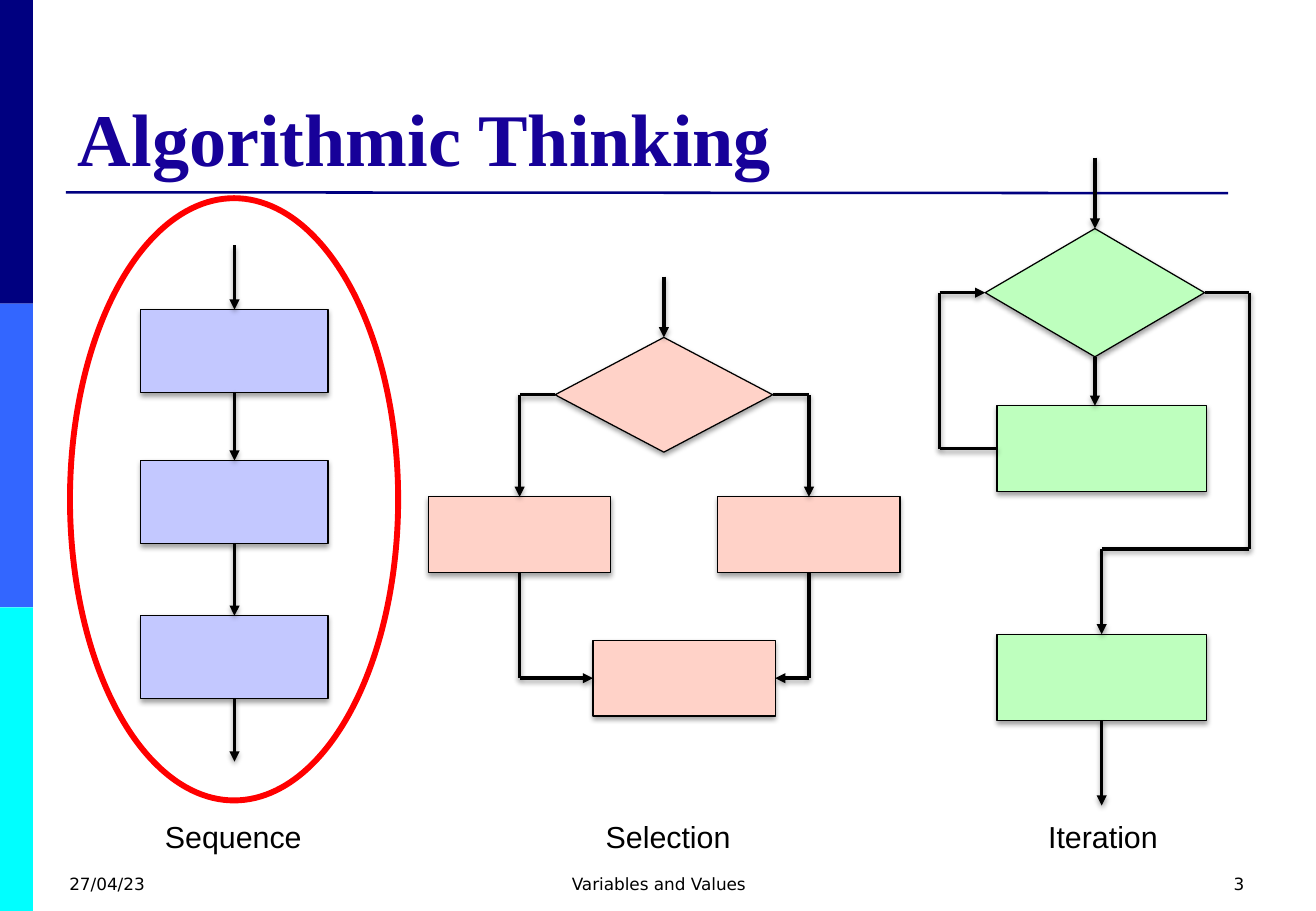
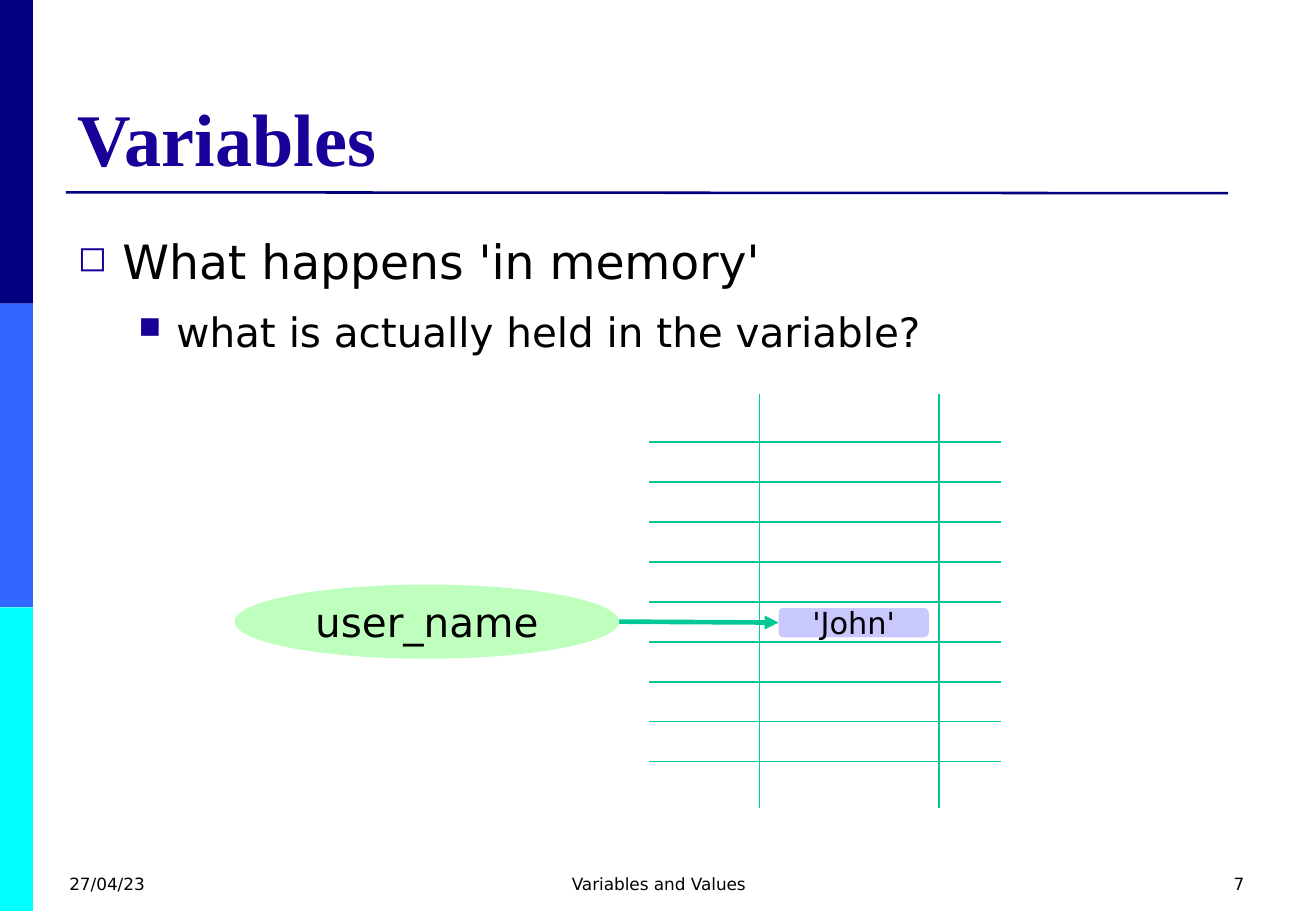
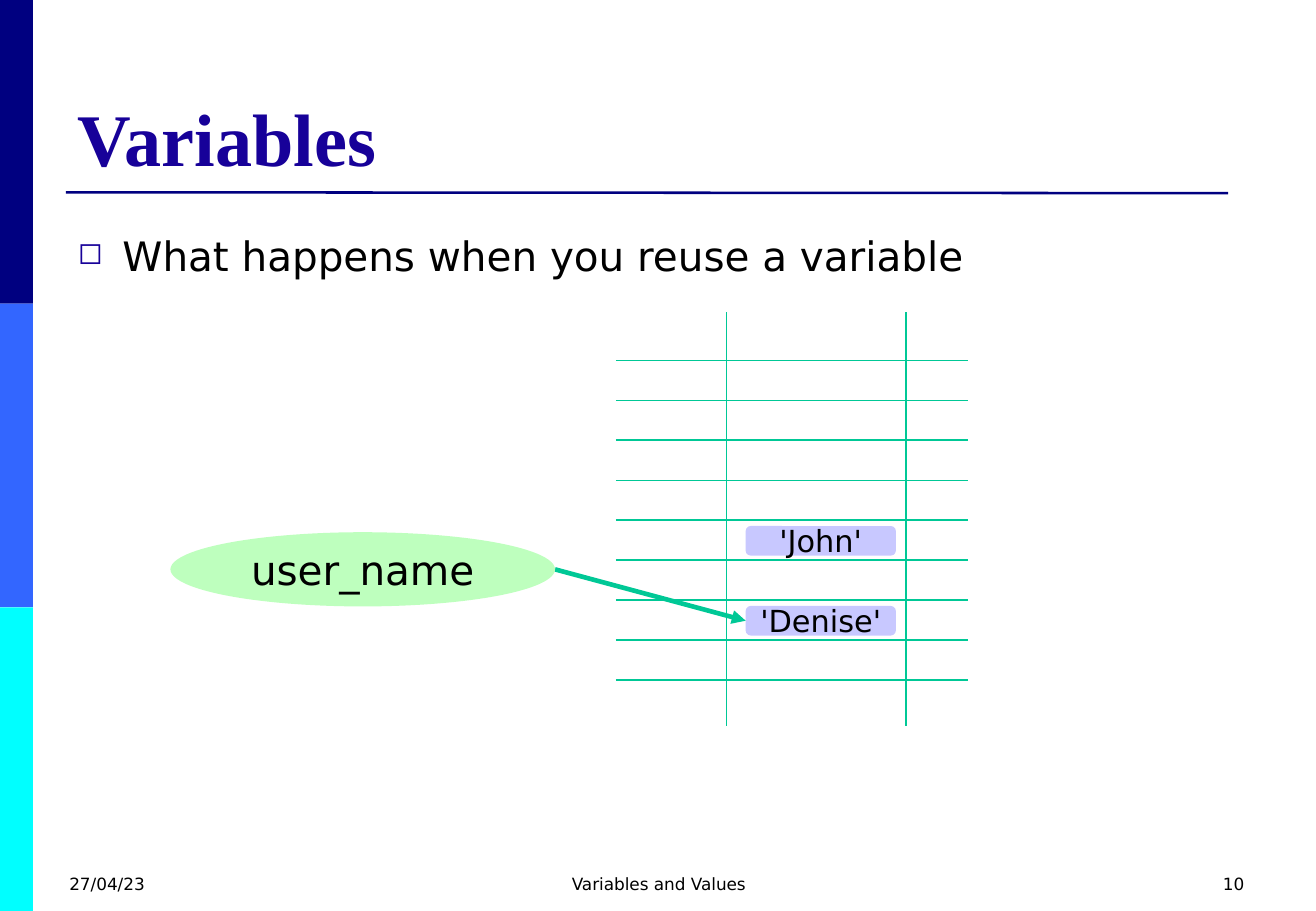
import itertools

import lxml.etree
import pptx
import pptx.dml.color
import pptx.enum.shapes
import pptx.enum.text
import pptx.oxml.ns
import pptx.util

Pt = pptx.util.Pt
qn = pptx.oxml.ns.qn
SHAPE = pptx.enum.shapes.MSO_SHAPE
ALIGN = pptx.enum.text.PP_ALIGN
ANCHOR = pptx.enum.text.MSO_ANCHOR

COLORS = {
    "navy": "000080", "blue": "3366FF", "cyan": "00FFFF", "title": "170199",
    "black": "000000", "red": "FF0000", "teal": "00C896", "lilac": "C3C8FF",
    "pink": "FFD2C8", "green": "BEFFBE", "value": "C8C8FF",
}
TITLE = {"name": "Times New Roman", "size": Pt(44), "bold": True}
FOOTER = {"name": "DejaVu Sans", "size": Pt(10)}
CAPTION = {"name": "Arial", "size": Pt(18)}
VALUE = {"name": "DejaVu Sans", "size": Pt(18)}
BODY = {"name": "DejaVu Sans", "size": Pt(24)}
LEAD = {"name": "DejaVu Sans", "size": Pt(28)}
BULLETS = [
    {"char": "◻", "margin": 26.5, "hang": 26.5, "spacing": 1.25, "before": 7},
    {"char": "■", "margin": 58.5, "hang": 22.5, "spacing": 1.15, "before": 6},
]


def rgb(name):
    return pptx.dml.color.RGBColor.from_string(COLORS[name])


def add_run(p, text, fmt, color="black"):
    r = p.add_run()
    r.text = text
    for key, value in fmt.items():
        setattr(r.font, key, value)
    r.font.color.rgb = rgb(color)


def add_shadow(effects, dist):
    shadow = lxml.etree.SubElement(effects, qn("a:outerShdw"), blurRad=str(Pt(3.1)),
                                   dist=str(Pt(dist)), dir="5400000", rotWithShape="0")
    color = lxml.etree.SubElement(shadow, qn("a:srgbClr"), val=COLORS["black"])
    lxml.etree.SubElement(color, qn("a:alpha"), val="36000")


def add_box(slide, kind, box, fill=None, line=None, width=0.75, shadow=False):
    sp = slide.shapes.add_shape(kind, *map(Pt, box))
    sp.shadow.inherit = False
    if fill:
        sp.fill.solid()
        sp.fill.fore_color.rgb = rgb(fill)
    else:
        sp.fill.background()
    if line:
        sp.line.color.rgb = rgb(line)
        sp.line.width = Pt(width)
    else:
        sp.line.fill.background()
    if shadow:
        add_shadow(sp._element.spPr.find(qn("a:effectLst")), 1.8)
    return sp


def add_label(slide, kind, box, fill, text, fmt):
    sp = add_box(slide, kind, box, fill)
    tf = sp.text_frame
    tf.word_wrap = True
    for side in ("left", "top", "right", "bottom"):
        setattr(tf, "margin_" + side, 0)
    tf.vertical_anchor = ANCHOR.MIDDLE
    p = tf.paragraphs[0]
    p.alignment = ALIGN.CENTER
    add_run(p, text, fmt)
    return sp


def add_text(slide, box, text, fmt, align):
    tf = slide.shapes.add_textbox(*map(Pt, box)).text_frame
    tf.word_wrap = True
    p = tf.paragraphs[0]
    p.alignment = align
    add_run(p, text, fmt)


def is_joined(end):
    return not isinstance(end[0], (int, float))


def add_line(slide, start, end, color, width, arrow=False, shadow=False):
    points = [(0, 0) if is_joined(e) else e for e in (start, end)]
    cx = slide.shapes.add_connector(pptx.enum.shapes.MSO_CONNECTOR.STRAIGHT,
                                    *map(Pt, itertools.chain(*points)))
    if is_joined(start):
        cx.begin_connect(*start)
    if is_joined(end):
        cx.end_connect(*end)
    cx.line.color.rgb = rgb(color)
    cx.line.width = Pt(width)
    if arrow:
        lxml.etree.SubElement(cx.line._get_or_add_ln(), qn("a:tailEnd"), type="triangle")
    effects = lxml.etree.SubElement(cx._element.spPr, qn("a:effectLst"))
    if shadow:
        add_shadow(effects, 1.6)


def add_flow(slide, *stops, arrow=True):
    last = len(stops) - 2
    for i, (start, end) in enumerate(itertools.pairwise(stops)):
        add_line(slide, start, end, "black", 2, arrow=arrow and i == last, shadow=True)


def add_node(slide, kind, left, top, box, fill):
    x, y, w, h = box
    return add_box(slide, kind, (left + x, top + y, w, h), fill, "black", shadow=True)


def new_slide(prs, title, number):
    slide = prs.slides.add_slide(prs.slide_layouts[5])
    for i, color in enumerate(("navy", "blue", "cyan")):
        add_box(slide, SHAPE.RECTANGLE, (0, 180 * i, 19.5, 180), color)
    add_line(slide, (39, 114), (728, 114.5), "navy", 1.5)
    sp = slide.shapes.title
    place = {"left": 39, "top": 21.5, "width": 702, "height": 89.5}
    for key, value in place.items():
        setattr(sp, key, Pt(value))
    tf = sp.text_frame
    tf.word_wrap = True
    tf.auto_size = pptx.enum.text.MSO_AUTO_SIZE.NONE
    tf.vertical_anchor = ANCHOR.BOTTOM
    p = tf.paragraphs[0]
    p.alignment = ALIGN.LEFT
    add_run(p, title, TITLE, "title")
    footers = (
        (34, 182, "27/04/23", ALIGN.LEFT),
        (267, 247, "Variables and Values", ALIGN.CENTER),
        (562.5, 182, str(number), ALIGN.RIGHT),
    )
    for left, width, text, align in footers:
        add_text(slide, (left, 514, width, 26), text, FOOTER, align)
    return slide


def add_bullets(slide, items):
    tf = slide.shapes.add_textbox(Pt(39), Pt(126), Pt(702), Pt(356)).text_frame
    tf.word_wrap = True
    for i, (level, text, fmt) in enumerate(items):
        p = tf.add_paragraph() if i else tf.paragraphs[0]
        style = BULLETS[level]
        p.level = level
        p.line_spacing = style["spacing"]
        p.space_before = Pt(style["before"] if i else 0)
        pPr = p._p.get_or_add_pPr()
        pPr.set("marL", str(Pt(style["margin"])))
        pPr.set("indent", str(-Pt(style["hang"])))
        color = lxml.etree.SubElement(pPr, qn("a:buClr"))
        lxml.etree.SubElement(color, qn("a:srgbClr"), val=COLORS["title"])
        lxml.etree.SubElement(pPr, qn("a:buSzPct"), val="75000")
        lxml.etree.SubElement(pPr, qn("a:buChar"), char=style["char"])
        add_run(p, text, fmt)


def add_sequence(slide, left, top):
    steps = [add_node(slide, SHAPE.RECTANGLE, left, top, (0, y, 111, 49), "lilac")
             for y in (38, 127.5, 219.5)]
    middle = left + 55.5
    add_flow(slide, (middle, top), (steps[0], 0))
    for upper, lower in itertools.pairwise(steps):
        add_flow(slide, (upper, 2), (lower, 0))
    add_flow(slide, (steps[-1], 2), (middle, top + 306))


def add_selection(slide, left, top):
    test = add_node(slide, SHAPE.FLOWCHART_DECISION, left, top, (75, 36, 129, 68), "pink")
    join = add_node(slide, SHAPE.RECTANGLE, left, top, (97.5, 215.5, 108, 45), "pink")
    add_flow(slide, (left + 139.5, top), (test, 0))
    for x, side in ((0, 1), (171.5, 3)):
        branch = add_node(slide, SHAPE.RECTANGLE, left, top, (x, 130.5, 108, 45), "pink")
        middle = left + x + 54
        add_flow(slide, (test, side), (middle, top + 70), (branch, 0))
        add_flow(slide, (branch, 2), (middle, top + 238), (join, side))


def add_iteration(slide, left, top):
    test = add_node(slide, SHAPE.FLOWCHART_DECISION, left, top, (27, 42, 130, 76), "green")
    body, after = [add_node(slide, SHAPE.RECTANGLE, left, top, (34, y, 124, 51), "green")
                   for y in (147, 282.5)]
    add_flow(slide, (left + 92, top), (test, 0))
    add_flow(slide, (test, 2), (left + 92, top + 147))
    add_flow(slide, (body, 1), (left, top + 172.5), (left, top + 80), (test, 1))
    add_flow(slide, (test, 3), (left + 183.5, top + 80), (left + 183.5, top + 232),
             (left + 96, top + 232), (after, 0))
    add_flow(slide, (after, 2), (left + 96, top + 384))


def add_memory(slide, left, top, values, name_at):
    for i in range(9):
        y = top + 28.5 + 23.7 * i
        add_line(slide, (left, y), (left + 209, y), "teal", 0.75)
    for x in (left + 65.5, left + 172):
        add_line(slide, (x, top), (x, top + 245.5), "teal", 0.75)
    for row, text in values:
        box = (left + 77, top + 32 + 23.7 * row, 89, 17.5)
        cell = add_label(slide, SHAPE.ROUNDED_RECTANGLE, box, "value", text, VALUE)
    x, y = name_at
    add_line(slide, (x + 228, y + 22), (cell, 1), "teal", 2.75, arrow=True)
    add_label(slide, SHAPE.OVAL, (x, y, 228, 44), "green", "user_name", BODY)


def main():
    prs = pptx.Presentation()
    prs.slide_width, prs.slide_height = Pt(780), Pt(540)

    slide = new_slide(prs, "Algorithmic Thinking", 3)
    for i, text in enumerate(("Sequence", "Selection", "Iteration")):
        add_text(slide, (50.5 + 257.75 * i, 481.5, 175.5, 29), text, CAPTION, ALIGN.CENTER)
    add_selection(slide, 254, 164)
    add_iteration(slide, 557, 93.5)
    add_sequence(slide, 83.5, 145.5)
    add_box(slide, SHAPE.OVAL, (41.5, 117.5, 194.5, 357), None, "red", 3.5)

    slide = new_slide(prs, "Variables", 7)
    add_bullets(slide, [(0, "What happens 'in memory'", LEAD),
                        (1, "what is actually held in the variable?", BODY)])
    add_memory(slide, 384.5, 233.5, [(4, "'John'")], (139, 346.5))

    slide = new_slide(prs, "Variables", 10)
    add_bullets(slide, [(0, "What happens when you reuse a variable", BODY)])
    add_memory(slide, 365, 185, [(4, "'John'"), (6, "'Denise'")], (101, 315.5))

    prs.save("out.pptx")


if __name__ == "__main__":
    main()
